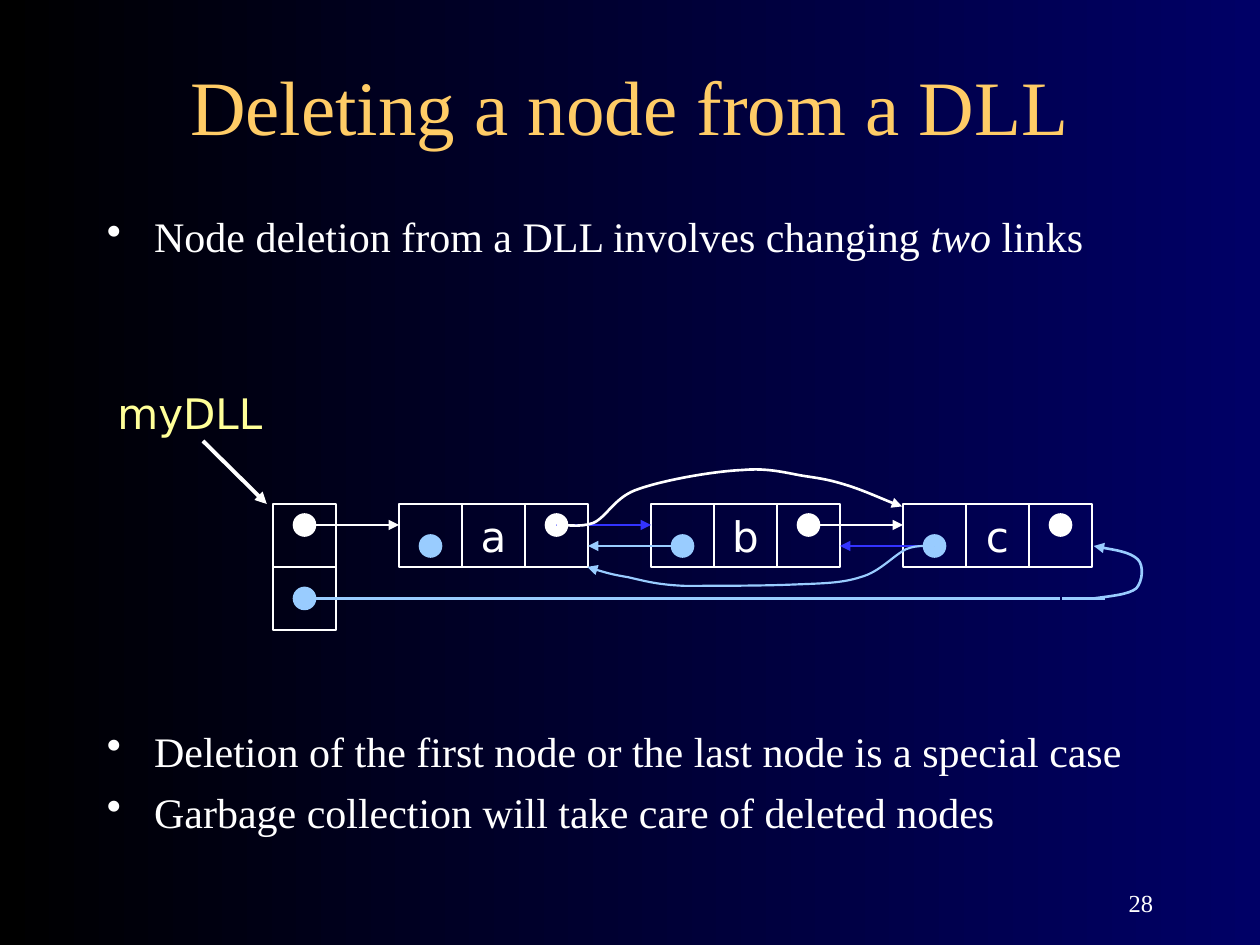
from lxml.etree import SubElement
from pptx import Presentation
from pptx.dml.color import RGBColor
from pptx.enum.shapes import MSO_CONNECTOR, MSO_SHAPE
from pptx.enum.text import MSO_ANCHOR, PP_ALIGN
from pptx.oxml.ns import qn
from pptx.util import Pt

COLORS = {
    "black": "000000", "navy": "000066", "gold": "FFCC66", "white": "FFFFFF",
    "yellow": "FFFF99", "sky": "99CCFF", "blue": "3333FF",
}
SERIF, SANS = "Times New Roman", "DejaVu Sans"
CELL, DOT = 36, 12
HEAD_X, TOP = 156, 288
NODES = {"a": 228, "b": 372, "c": 516}
NEXT_Y, PREV_Y, LAST_Y = 300, 312, 342

# Each curve is a start point followed by three points per Bezier piece.
LAST_LOOP = [
    (625, 342), (635, 340.6), (645, 339.8), (649.4, 336.2),
    (653, 332), (653.8, 323.3), (650.2, 319.7),
    (645.8, 315.4), (630.7, 313.2), (625, 312),
]
NEW_NEXT = [
    (318, 300), (321.8, 299.5), (331.2, 301.7), (339.1, 298.8),
    (347, 295.2), (351.4, 283.7), (365, 279.4),
    (379.4, 274.3), (407.5, 269.3), (424.1, 268.6),
    (439.9, 267.1), (450.7, 270.7), (460.8, 272.2),
    (470.4, 273.6), (474.5, 274.3), (483.8, 277.2),
    (493.2, 280.1), (509, 287.3), (515.5, 289.4),
]
NEW_PREV = [
    (534, 312), (531.4, 312.5), (524.2, 311), (517.7, 313.9),
    (510.5, 317.5), (502.6, 326.9), (491.8, 329.8),
    (480.9, 333.4), (469.4, 333.4), (452.2, 334.1),
    (435.6, 334.8), (406.1, 334.8), (391, 334.8),
    (375.1, 334.1), (367.9, 331.9), (358.6, 329.8),
    (349.2, 328.3), (339.8, 325.4), (335.5, 324),
]


def rgb(name):
    return RGBColor.from_string(COLORS[name])


def style(para, size, color, face):
    for run in para.runs:
        run.font.size = Pt(size)
        run.font.name = face
        run.font.color.rgb = rgb(color)


def stroke(line, color, width=1.5, arrow=False):
    line.color.rgb = rgb(color)
    line.width = Pt(width)
    if arrow:
        SubElement(line._get_or_add_ln(), qn("a:tailEnd"), type="triangle")


def add_back(slide):
    fill = slide.background.fill
    fill.gradient()
    fill.gradient_angle = 0
    for stop, name in zip(fill.gradient_stops, ("black", "navy")):
        stop.color.rgb = rgb(name)


def add_title(slide, text):
    title = slide.shapes.title
    title.left, title.top, title.width, title.height = Pt(54), Pt(30), Pt(612), Pt(60)
    frame = title.text_frame
    frame.text = text
    frame.vertical_anchor = MSO_ANCHOR.MIDDLE
    frame.paragraphs[0].alignment = PP_ALIGN.CENTER
    style(frame.paragraphs[0], 44, "gold", SERIF)


def add_text(slide, box, text, size, color, face):
    frame = slide.shapes.add_textbox(*map(Pt, box)).text_frame
    frame.word_wrap = True
    frame.text = text
    style(frame.paragraphs[0], size, color, face)
    return frame


def add_points(slide, top, height, items):
    """Add a bullet list; each item is a list of runs, every second one italic."""
    frame = slide.shapes.add_textbox(Pt(54), Pt(top), Pt(612), Pt(height)).text_frame
    frame.word_wrap = True
    for i, item in enumerate(items):
        para = frame.add_paragraph() if i else frame.paragraphs[0]
        props = para._p.get_or_add_pPr()
        props.set("marL", str(Pt(27)))
        props.set("indent", str(Pt(-27)))
        para.space_before = Pt(6 if i else 0)
        SubElement(props, qn("a:buChar"), char="•")
        for j, text in enumerate(item):
            run = para.add_run()
            run.text = text
            run.font.italic = j % 2 == 1
        style(para, 24, "white", SERIF)


def add_cell(slide, x, y, text=""):
    cell = slide.shapes.add_shape(MSO_SHAPE.RECTANGLE, Pt(x), Pt(y), Pt(CELL), Pt(CELL))
    cell.shadow.inherit = False
    cell.fill.background()
    stroke(cell.line, "white")
    if text:
        frame = cell.text_frame
        frame.word_wrap = False
        frame.text = text
        frame.vertical_anchor = MSO_ANCHOR.MIDDLE
        frame.paragraphs[0].alignment = PP_ALIGN.CENTER
        style(frame.paragraphs[0], 24, "white", SANS)


def add_dot(slide, x, y, color):
    """Add a dot centred on x, y."""
    dot = slide.shapes.add_shape(
        MSO_SHAPE.OVAL, Pt(x - DOT / 2), Pt(y - DOT / 2), Pt(DOT), Pt(DOT))
    dot.shadow.inherit = False
    dot.fill.solid()
    dot.fill.fore_color.rgb = rgb(color)
    stroke(dot.line, color)


def add_node(slide, x, text):
    for i, label in enumerate(("", text, "")):
        add_cell(slide, x + i * CELL, TOP, label)
    add_dot(slide, x + CELL / 2, PREV_Y, "sky")
    add_dot(slide, x + 2.5 * CELL, NEXT_Y, "white")


def add_line(slide, start, end, color, width=1.5, arrow=True):
    line = slide.shapes.add_connector(MSO_CONNECTOR.STRAIGHT, *map(Pt, start + end))
    stroke(line.line, color, width, arrow)
    SubElement(line._element.spPr, qn("a:effectLst"))


def add_curve(slide, points, color, width=1.5):
    start, *rest = [(Pt(x), Pt(y)) for x, y in points]
    pen = slide.shapes.build_freeform(*start)
    pen.add_line_segments(rest, close=False)
    curve = pen.convert_to_shape()
    steps = list(curve._element.iter(qn("a:lnTo")))
    for i in range(0, len(steps), 3):
        trio = steps[i:i + 3]
        bend = SubElement(trio[0].getparent(), qn("a:cubicBezTo"))
        for step in trio:
            bend.append(step[0])
            step.getparent().remove(step)
    curve.shadow.inherit = False
    curve.fill.background()
    stroke(curve.line, color, width, arrow=True)


def add_list(slide):
    add_line(slide, (116, 252), (152.5, 288), "white", 2.25)
    add_text(slide, (60, 218, 102, 36), "myDLL", 24, "yellow", SANS)
    mid = HEAD_X + CELL / 2
    for i, (y, color) in enumerate(((NEXT_Y, "white"), (LAST_Y, "sky"))):
        add_cell(slide, HEAD_X, TOP + i * CELL)
        add_dot(slide, mid, y, color)
    for text, x in NODES.items():
        add_node(slide, x, text)

    a, b, c = NODES.values()
    add_line(slide, (mid, NEXT_Y), (a, NEXT_Y), "white")
    for x, goal, color in ((a, b, "blue"), (b, c, "white")):
        add_line(slide, (x + 2.5 * CELL, NEXT_Y), (goal, NEXT_Y), color)
    for x, goal, color in ((b, a, "sky"), (c, b, "blue")):
        add_line(slide, (x + CELL / 2, PREV_Y), (goal + 3 * CELL, PREV_Y), color)
    for x, end in ((mid, 426), (426, 606), (631.5, 607)):
        add_line(slide, (x, LAST_Y), (end, LAST_Y), "sky", arrow=False)
    add_curve(slide, LAST_LOOP, "sky")
    add_curve(slide, NEW_NEXT, "white")
    add_curve(slide, NEW_PREV, "sky", 1.25)


def main():
    deck = Presentation()
    deck.slide_width, deck.slide_height = Pt(720), Pt(540)
    slide = deck.slides.add_slide(deck.slide_layouts[5])
    add_back(slide)
    add_title(slide, "Deleting a node from a DLL")
    add_points(slide, 117, 46, [
        ["Node deletion from a DLL involves changing ", "two", " links"]])
    add_points(slide, 411, 93, [
        ["Deletion of the first node or the last node is a special case"],
        ["Garbage collection will take care of deleted nodes"]])
    add_list(slide)
    number = add_text(slide, (516, 492, 150, 36), "28", 14, "white", SERIF)
    number.vertical_anchor = MSO_ANCHOR.BOTTOM
    number.paragraphs[0].alignment = PP_ALIGN.RIGHT
    deck.save("out.pptx")


if __name__ == "__main__":
    main()
